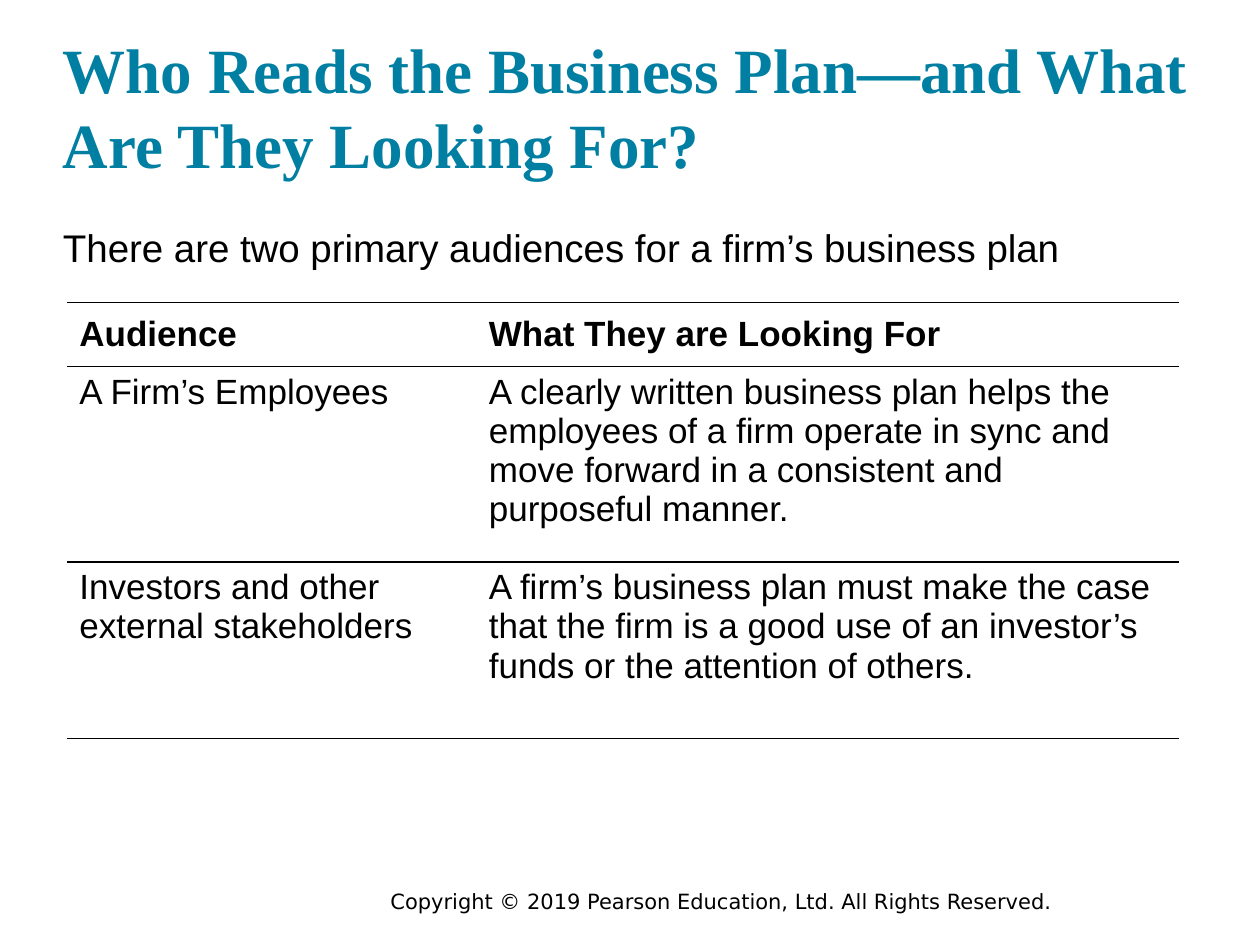
from dataclasses import dataclass

from lxml.etree import SubElement
from pptx import Presentation
from pptx.dml.color import RGBColor
from pptx.enum.text import MSO_ANCHOR
from pptx.oxml.ns import qn
from pptx.slide import Slide
from pptx.table import _Cell
from pptx.util import Inches, Pt

COLORS = {"title": "007FA3", "text": "000000", "rule": "000000"}
NO_GRID_STYLE = "{2D5ABB26-0587-4C30-8999-92F81FD0307C}"
COLUMN_WIDTHS = (3.25, 5.58)
ROW_HEIGHTS = (0.51, 1.55, 1.4)
AUDIENCE_ROWS = (
    ("Audience", "What They are Looking For"),
    (
        "A Firm’s Employees",
        "A clearly written business plan helps the employees of a firm operate in sync "
        "and move forward in a consistent and purposeful manner.",
    ),
    (
        "Investors and other external stakeholders",
        "A firm’s business plan must make the case that the firm is a good use of "
        "an investor’s funds or the attention of others.",
    ),
)


@dataclass
class TextBlock:
    text: str
    left: float
    top: float
    width: float
    height: float
    font: str
    size: int
    color: str = "text"
    bold: bool = False
    anchor: MSO_ANCHOR = MSO_ANCHOR.TOP
    inset: tuple[float, float] = (0, 0)


TEXT_BLOCKS = (
    TextBlock("Copyright © 2019 Pearson Education, Ltd. All Rights Reserved.",
              3, 7, 6.75, 0.3, "DejaVu Sans", 12, inset=(0.1, 0.05)),
    TextBlock("Who Reads the Business Plan—and What Are They Looking For?",
              0.5, 0.24, 9, 1.2, "Times New Roman", 36, "title", True, MSO_ANCHOR.BOTTOM),
    TextBlock("There are two primary audiences for a firm’s business plan",
              0.5, 1.78, 8.17, 0.5, "Arial", 22),
)


def style_font(font, name: str, size: int, color: str, bold: bool) -> None:
    font.name = name
    font.size = Pt(size)
    font.bold = bold
    font.color.rgb = RGBColor.from_string(COLORS[color])


def add_text_block(slide: Slide, block: TextBlock) -> None:
    shape = slide.shapes.add_textbox(
        Inches(block.left), Inches(block.top), Inches(block.width), Inches(block.height))
    frame = shape.text_frame
    frame.word_wrap = True
    frame.vertical_anchor = block.anchor
    frame.margin_left = frame.margin_right = Inches(block.inset[0])
    frame.margin_top = frame.margin_bottom = Inches(block.inset[1])
    paragraph = frame.paragraphs[0]
    paragraph.text = block.text
    style_font(paragraph.font, block.font, block.size, block.color, block.bold)


def add_rule(cell: _Cell, edge: str) -> None:
    properties = cell._tc.get_or_add_tcPr()
    line = SubElement(properties, qn(f"a:{edge}"), w=str(Pt(1)))
    fill = SubElement(line, qn("a:solidFill"))
    SubElement(fill, qn("a:srgbClr"), val=COLORS["rule"])


def add_audience_table(slide: Slide) -> None:
    frame = slide.shapes.add_table(
        len(ROW_HEIGHTS), len(COLUMN_WIDTHS), Inches(0.53), Inches(2.4),
        Inches(sum(COLUMN_WIDTHS)), Inches(sum(ROW_HEIGHTS)))
    table = frame.table
    table.first_row = table.horz_banding = False
    table._tbl.tblPr.find(qn("a:tableStyleId")).text = NO_GRID_STYLE
    for column, width in zip(table.columns, COLUMN_WIDTHS):
        column.width = Inches(width)
    for row_index, (height, texts) in enumerate(zip(ROW_HEIGHTS, AUDIENCE_ROWS)):
        table.rows[row_index].height = Inches(height)
        is_header = row_index == 0
        for column_index, text in enumerate(texts):
            cell = table.cell(row_index, column_index)
            cell.text = text
            cell.vertical_anchor = MSO_ANCHOR.MIDDLE if is_header else MSO_ANCHOR.TOP
            style_font(cell.text_frame.paragraphs[0].font, "Arial", 20, "text", is_header)
            if row_index < 2:
                add_rule(cell, "lnT")
            if row_index != 1:
                add_rule(cell, "lnB")
            cell.fill.background()


def main() -> None:
    """Build the slide on the readers of a business plan."""
    presentation = Presentation()
    presentation.slide_width = Inches(10)
    presentation.slide_height = Inches(7.5)
    slide = presentation.slides.add_slide(presentation.slide_layouts[6])
    for block in TEXT_BLOCKS:
        add_text_block(slide, block)
    add_audience_table(slide)
    presentation.save("out.pptx")


if __name__ == "__main__":
    main()
